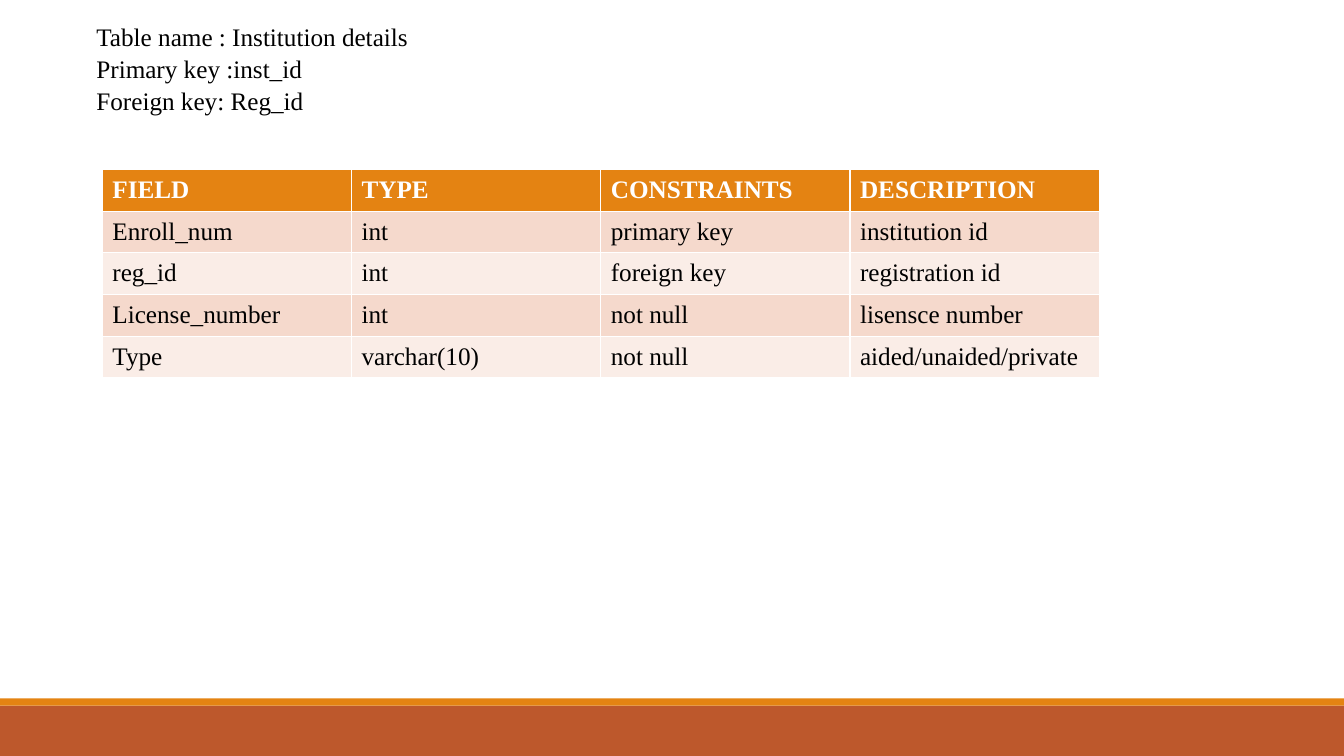
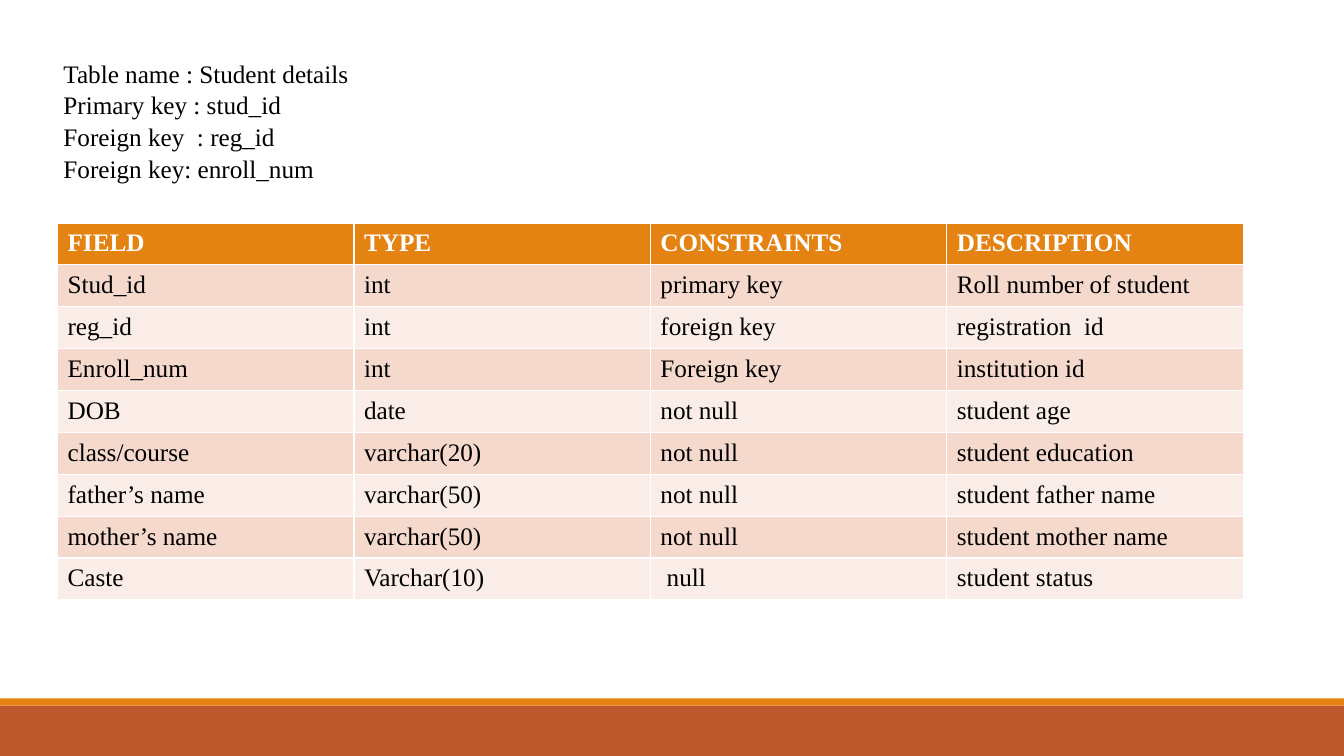
from pptx import Presentation
from pptx.dml.color import RGBColor
from pptx.enum.shapes import MSO_SHAPE as SHAPE
from pptx.util import Cm, Pt

WHITE = RGBColor(0xFF, 0xFF, 0xFF)
BLACK = RGBColor(0x00, 0x00, 0x00)
ORANGE = RGBColor(0xE4, 0x83, 0x12)
RUST = RGBColor(0xBD, 0x58, 0x2C)
ROW_DARK = RGBColor(0xF5, 0xD9, 0xCC)
ROW_LIGHT = RGBColor(0xFA, 0xED, 0xE7)

SLIDE_W, SLIDE_H = Cm(33.87), Cm(19.05)
BANDS = [(Cm(17.78), Cm(1.27), RUST), (Cm(17.6), Cm(0.18), ORANGE)]
LINE_SPACING = 1.05

BODY = {"name": "Times New Roman", "size": Pt(18), "bold": False, "color": BLACK}
HEADER = {**BODY, "bold": True, "color": WHITE}

COLUMNS = ["FIELD", "TYPE", "CONSTRAINTS", "DESCRIPTION"]

INSTITUTION_KEYS = [
    "Table name : Institution details",
    "Primary key :inst_id",
    "Foreign key: Reg_id",
]
INSTITUTION_FIELDS = [
    ["Enroll_num", "int", "primary key", "institution id"],
    ["reg_id", "int", "foreign key", "registration id"],
    ["License_number", "int", "not null", "lisensce number"],
    ["Type", "varchar(10)", "not null", "aided/unaided/private"],
]

STUDENT_KEYS = [
    "Table name : Student details",
    "Primary key : stud_id",
    "Foreign key  : reg_id",
    "Foreign key: enroll_num",
]
STUDENT_FIELDS = [
    ["Stud_id", "int", "primary key", "Roll number of student"],
    ["reg_id", "int", "foreign key", "registration  id"],
    ["Enroll_num", "int", "Foreign key", "institution id"],
    ["DOB", "date", "not null", "student age"],
    ["class/course", "varchar(20)", "not null", "student education"],
    ["father’s name", "varchar(50)", "not null", "student father name"],
    ["mother’s name", "varchar(50)", "not null", "student mother name"],
    ["Caste", "Varchar(10)", " null", "student status"],
]


def write_lines(tf, lines, fmt):
    """Fill a text frame with one paragraph per line."""
    for i, line in enumerate(lines):
        p = tf.add_paragraph() if i else tf.paragraphs[0]
        p.line_spacing = LINE_SPACING
        r = p.add_run()
        r.text = line
        for key, value in fmt.items():
            if key == "color":
                r.font.color.rgb = value
            else:
                setattr(r.font, key, value)


def add_banded_slide(prs):
    """Add a blank slide with the two footer bands."""
    slide = prs.slides.add_slide(prs.slide_layouts[6])
    for top, height, color in BANDS:
        sp = slide.shapes.add_shape(SHAPE.RECTANGLE, 0, top, SLIDE_W, height)
        sp.shadow.inherit = False
        sp.fill.solid()
        sp.fill.fore_color.rgb = color
        sp.line.fill.background()
    return slide


def add_key_text(slide, lines, left, top, width, height):
    tf = slide.shapes.add_textbox(left, top, width, height).text_frame
    tf.word_wrap = True
    write_lines(tf, lines, BODY)


def add_field_table(slide, fields, left, top, col_w, row_h):
    """Add a table under the shared header; the default style draws white borders."""
    rows = [COLUMNS, *fields]
    n_rows, n_cols = len(rows), len(COLUMNS)
    table = slide.shapes.add_table(
        n_rows, n_cols, left, top, col_w * n_cols, row_h * n_rows).table
    for col in table.columns:
        col.width = col_w
    for i, values in enumerate(rows):
        table.rows[i].height = row_h
        if i == 0:
            fill, fmt = ORANGE, HEADER
        else:
            fill, fmt = (ROW_DARK if i % 2 else ROW_LIGHT), BODY
        for j, value in enumerate(values):
            cell = table.cell(i, j)
            cell.fill.solid()
            cell.fill.fore_color.rgb = fill
            write_lines(cell.text_frame, [value], fmt)


def main():
    prs = Presentation()
    prs.slide_width, prs.slide_height = SLIDE_W, SLIDE_H

    slide = add_banded_slide(prs)
    add_field_table(slide, INSTITUTION_FIELDS, Cm(2.58), Cm(4.27), Cm(6.28), Cm(1.05))
    add_key_text(slide, INSTITUTION_KEYS, Cm(2.18), Cm(0.38), Cm(17.68), Cm(2.57))

    slide = add_banded_slide(prs)
    add_field_table(slide, STUDENT_FIELDS, Cm(1.45), Cm(5.62), Cm(7.47), Cm(1.02))
    add_key_text(slide, STUDENT_KEYS, Cm(1.35), Cm(1.3), Cm(16.94), Cm(4.88))

    prs.save("out.pptx")


if __name__ == "__main__":
    main()
